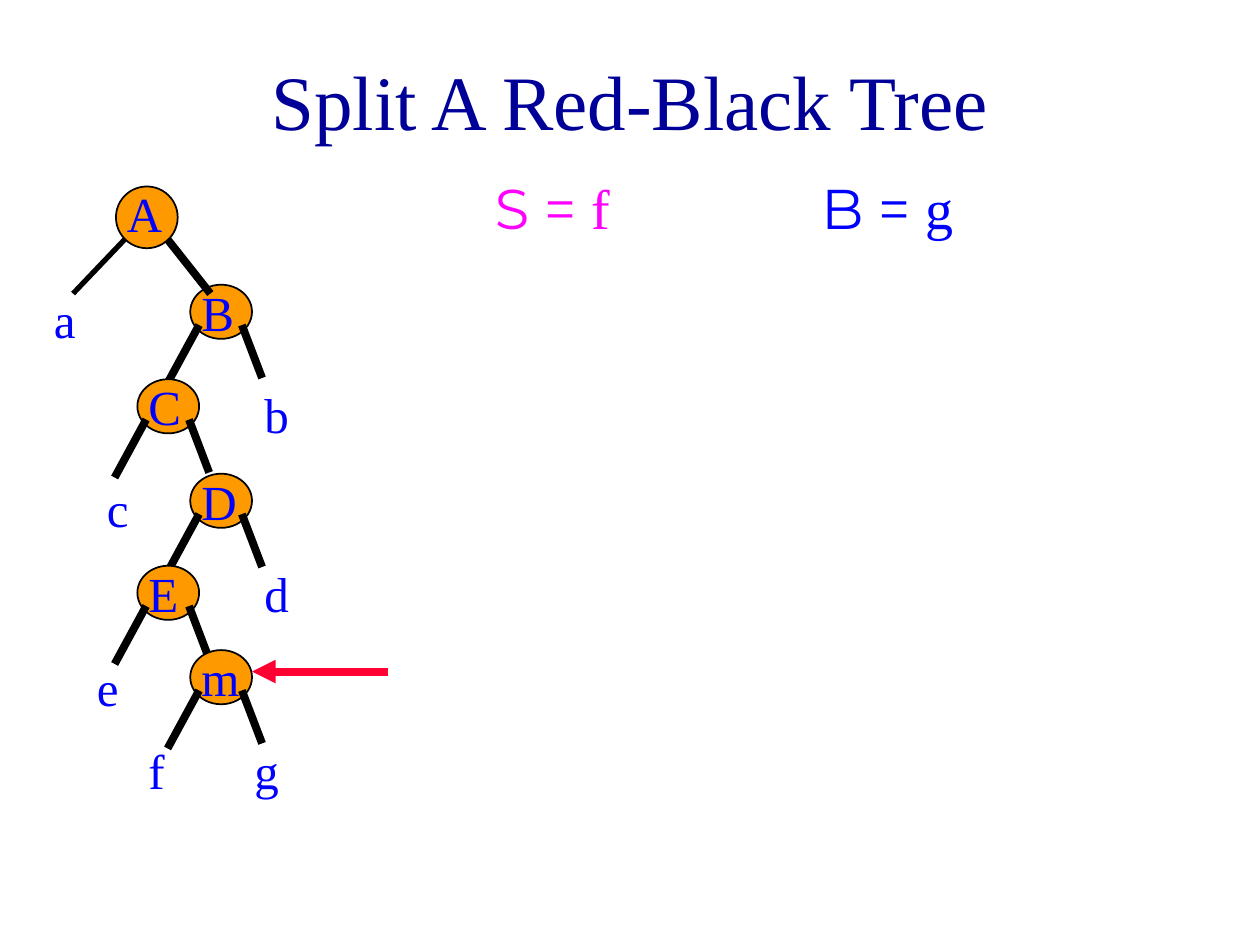
from lxml import etree
from pptx import Presentation
from pptx import util as u
from pptx.dml.color import RGBColor
from pptx.enum import shapes, text
from pptx.oxml.ns import qn

NAVY = RGBColor(0x00, 0x00, 0x99)
BLUE = RGBColor(0x00, 0x00, 0xFF)
MAGENTA = RGBColor(0xFF, 0x00, 0xFF)
ORANGE = RGBColor(0xFF, 0x99, 0x00)
RED = RGBColor(0xFF, 0x00, 0x33)
BLACK = RGBColor(0x00, 0x00, 0x00)
SERIF = "Times New Roman"
SANS = "Montserrat"

deck = Presentation()
deck.slide_width = u.Inches(10)
deck.slide_height = u.Inches(7.5)
page = deck.slides.add_slide(deck.slide_layouts[5])


def add_line(x1, y1, x2, y2, color=BLACK, width=4.5):
    line = page.shapes.add_connector(
        shapes.MSO_CONNECTOR.STRAIGHT,
        u.Inches(x1), u.Inches(y1), u.Inches(x2), u.Inches(y2))
    line.line.color.rgb = color
    line.line.width = u.Pt(width)
    etree.SubElement(line._element.spPr, qn("a:effectLst"))
    return line


def add_label(left, top, width, height, pieces, size, color):
    box = page.shapes.add_textbox(
        u.Inches(left), u.Inches(top), u.Inches(width), u.Inches(height))
    box.text_frame.word_wrap = True
    para = box.text_frame.paragraphs[0]
    for words, font_name in pieces:
        span = para.add_run()
        span.text = words
        span.font.name = font_name
        span.font.size = u.Pt(size)
        span.font.color.rgb = color


title = page.shapes.title
title.left, title.top = u.Inches(0.75), u.Inches(0.17)
title.width, title.height = u.Inches(8.5), u.Inches(1.25)
title.text_frame.text = "Split A Red-Black Tree"
title.text_frame.vertical_anchor = text.MSO_ANCHOR.MIDDLE
heading = title.text_frame.paragraphs[0]
heading.alignment = text.PP_ALIGN.CENTER
heading.runs[0].font.name = SERIF
heading.runs[0].font.size = u.Pt(44)
heading.runs[0].font.color.rgb = NAVY

# Edges are offsets from the top left of a node: x1, y1, x2, y2, width.
ROOT_EDGES = [(0.41, 0.42, 0.75, 0.85, 4.5), (0.07, 0.42, -0.34, 0.85, 3)]
INNER_EDGES = [(0.07, 0.32, -0.18, 0.78, 4.5), (0.41, 0.32, 0.57, 0.74, 4.5)]
nodes = [
    ("B", 1.51, 2.26, 0.43, INNER_EDGES),
    ("A", 0.92, 1.48, 0.49, ROOT_EDGES),
    ("C", 1.09, 3.01, 0.43, INNER_EDGES),
    ("D", 1.51, 3.76, 0.43, INNER_EDGES),
    ("E", 1.09, 4.49, 0.43, INNER_EDGES),
    ("m", 1.51, 5.16, 0.43, INNER_EDGES),
]
for letter, left, top, height, edges in nodes:
    node = page.shapes.add_shape(
        shapes.MSO_SHAPE.OVAL,
        u.Inches(left), u.Inches(top), u.Inches(0.49), u.Inches(height))
    node.shadow.inherit = False
    node.fill.solid()
    node.fill.fore_color.rgb = ORANGE
    node.line.color.rgb = BLACK
    node.line.width = u.Pt(1)
    for x1, y1, x2, y2, width in edges:
        add_line(left + x1, top + y1, left + x2, top + y2, width=width)
    add_label(left - 0.01, top - 0.07, 0.5, 0.57, [(letter, SERIF)], 28, BLUE)

leaves = [
    ("a", 0.33, 2.25), ("b", 2, 3), ("c", 0.75, 3.75), ("d", 2, 4.42),
    ("e", 0.67, 5.17), ("f", 1.08, 5.83), ("g", 1.92, 5.83),
]
for letter, left, top in leaves:
    add_label(left, top, 0.5, 0.57, [(letter, SERIF)], 28, BLUE)

pointer = add_line(3.08, 5.33, 2, 5.33, RED)
etree.SubElement(pointer.line._get_or_add_ln(), qn("a:tailEnd"), type="triangle")

for name, subtree, left, color in [("S", "f", 3.83, MAGENTA), ("B", "g", 6.42, BLUE)]:
    add_label(left, 1.33, 2, 0.64, [(name + " = ", SANS), (subtree, SERIF)], 32, color)

deck.save("out.pptx")
